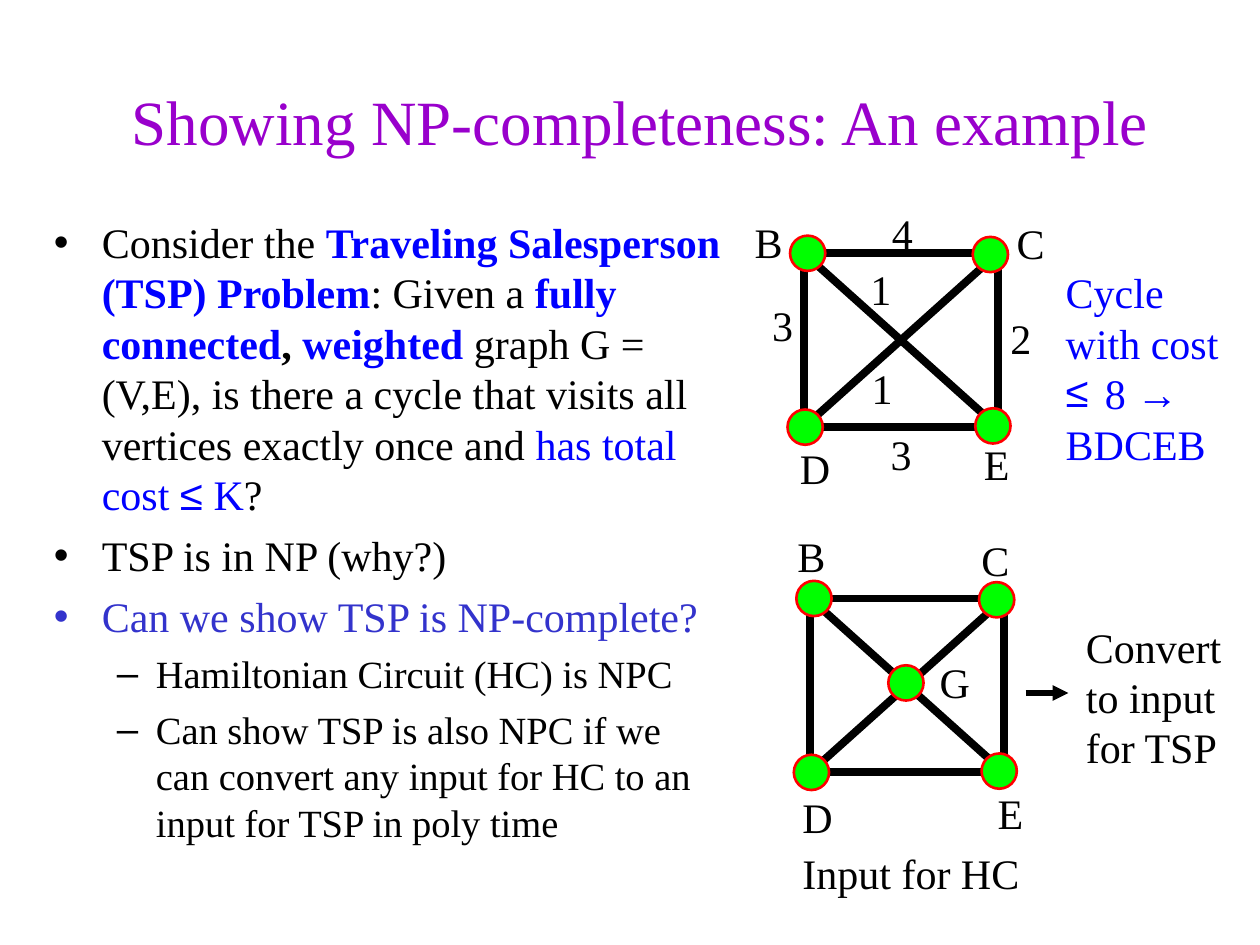
"""Build a slide on showing that the Traveling Salesperson Problem is NP-complete."""
from lxml import etree
from pptx import Presentation
from pptx.dml.color import RGBColor
from pptx.enum import shapes, text
from pptx.oxml import ns
from pptx.util import Inches, Pt

BLACK = RGBColor(0x00, 0x00, 0x00)
BLUE = RGBColor(0x00, 0x00, 0xFF)
INDIGO = RGBColor(0x33, 0x33, 0xCC)
PURPLE = RGBColor(0x99, 0x00, 0xCC)
GREEN = RGBColor(0x00, 0xFF, 0x00)
RED = RGBColor(0xFF, 0x00, 0x00)
SERIF, SANS = "Times New Roman", "Arial"

prs = Presentation()
prs.slide_width, prs.slide_height = Inches(10), Inches(7.5)
s = prs.slides.add_slide(prs.slide_layouts[6])


def add_text(box, paras, wrap=False, **frame):
    sp = s.shapes.add_textbox(*map(Inches, box))
    tf = sp.text_frame
    for key, value in {"word_wrap": wrap, **frame}.items():
        setattr(tf, key, value)
    for i, (fmt, runs) in enumerate(paras):
        p = tf.paragraphs[0] if i == 0 else tf.add_paragraph()
        p.alignment = fmt.get("align", text.PP_ALIGN.LEFT)
        p.level = fmt.get("level", 0)
        p.space_before = Pt(fmt.get("before", 0))
        for words, color, *extra in runs:
            r = p.add_run()
            r.text = words
            r.font.color.rgb = color
            font = {"name": SERIF, "size": Pt(fmt.get("size", 24)), "bold": False}
            for key, value in {**font, **(extra[0] if extra else {})}.items():
                setattr(r.font, key, value)
        if "bullet" in fmt:
            pPr = p._p.get_or_add_pPr()
            pPr.set("marL", str(Inches(fmt["margin"])))
            pPr.set("indent", str(Inches(-fmt["hang"])))
            clr = etree.SubElement(pPr, ns.qn("a:buClr"))
            etree.SubElement(clr, ns.qn("a:srgbClr"), val=str(runs[0][1]))
            etree.SubElement(pPr, ns.qn("a:buFont"), typeface=SANS)
            etree.SubElement(pPr, ns.qn("a:buChar"), char=fmt["bullet"])


def add_line(x1, y1, x2, y2, width):
    c = s.shapes.add_connector(shapes.MSO_CONNECTOR.STRAIGHT, *map(Inches, (x1, y1, x2, y2)))
    c.line.color.rgb = BLACK
    c.line.width = Pt(width)
    etree.SubElement(c._element.spPr, ns.qn("a:effectLst"))
    return c


add_text((0.83, 0.33, 8.5, 1.25),
         [({"size": 36, "align": text.PP_ALIGN.CENTER},
           [("Showing NP-completeness: An example", PURPLE)])],
         wrap=True, vertical_anchor=text.MSO_ANCHOR.MIDDLE)

BOLD = {"bold": True}
MAIN = {"bullet": "•", "margin": 0.38, "hang": 0.38, "before": 6}
SUB = {"bullet": "–", "margin": 0.81, "hang": 0.31, "before": 5.5, "size": 22, "level": 1}
add_text((0.33, 1.67, 5.5, 5.07), [
    (MAIN, [("Consider the ", BLACK),
            ("Traveling Salesperson (TSP) Problem", BLUE, BOLD),
            (": Given a ", BLACK),
            ("fully connected", BLUE, BOLD),
            (", ", BLACK, BOLD),
            ("weighted ", BLUE, BOLD),
            ("graph G = (V,E), is there a cycle that visits all vertices exactly once and ", BLACK),
            ("has total cost ", BLUE),
            ("≤", BLUE, {"name": SANS}),
            (" K", BLUE),
            ("?", BLACK)]),
    (MAIN, [("TSP is in NP (why?)", BLACK)]),
    (MAIN, [("Can we show TSP is NP-complete?", INDIGO)]),
    (SUB, [("Hamiltonian Circuit (HC) is NPC", BLACK)]),
    (SUB, [("Can show TSP is also NPC if we can convert any input for HC "
            "to an input for TSP in poly time", BLACK)]),
], wrap=True)

W, H, NODE = 1.54, 1.38, 0.28
CORNERS = [(-0.11, -0.14), (1.34, -0.13), (-0.13, 1.24), (1.36, 1.23)]
CENTER = (0.62, 0.53)
for x, y, nodes in [(6.43, 4.75, CORNERS + [CENTER]), (6.38, 2.01, CORNERS)]:
    sp = s.shapes.add_shape(shapes.MSO_SHAPE.RECTANGLE, *map(Inches, (x, y, W, H)))
    sp.shadow.inherit = False
    sp.fill.background()
    sp.line.color.rgb = BLACK
    sp.line.width = Pt(4.5)
    add_line(x, y, x + W, y + H, 4.5)
    add_line(x, y + H, x + W, y, 4.5)
    for dx, dy in nodes:
        sp = s.shapes.add_shape(shapes.MSO_SHAPE.OVAL, *map(Inches, (x + dx, y + dy, NODE, NODE)))
        sp.shadow.inherit = False
        sp.fill.solid()
        sp.fill.fore_color.rgb = GREEN
        sp.line.color.rgb = RED
        sp.line.width = Pt(1.5)

GROW = {"auto_size": text.MSO_AUTO_SIZE.SHAPE_TO_FIT_TEXT}
labels = [
    ("B", 6.23, 4.16, 0.42), ("C", 7.69, 4.19, 0.42), ("D", 6.27, 6.23, 0.42),
    ("E", 7.82, 6.2, 0.42), ("G", 7.36, 5.16, 0.42), ("Input for HC", 6.27, 6.68, 1.92),
    ("B", 5.89, 1.67, 0.42), ("C", 7.97, 1.68, 0.42), ("D", 6.25, 3.46, 0.42),
    ("E", 7.71, 3.43, 0.42), ("3", 6.03, 2.33, 0.36), ("3", 6.97, 3.35, 0.36),
    ("1", 6.82, 2.83, 0.36), ("1", 6.81, 2.04, 0.36), ("2", 7.92, 2.43, 0.36),
    ("4", 6.98, 1.6, 0.36),
]
for label, x, y, w in labels:
    add_text((x, y, w, 0.5), [({}, [(label, BLACK)])], **GROW)

arrow = add_line(8.14, 5.5, 8.48, 5.5, 3)
etree.SubElement(arrow.line._get_or_add_ln(), ns.qn("a:tailEnd"), type="triangle")

add_text((8.52, 4.88, 1.35, 1.3),
         [({}, [(line, BLACK)]) for line in ("Convert", "to input", "for TSP")],
         wrap=True, **GROW)
add_text((8.36, 2.07, 1.45, 2.1), [
    ({}, [("Cycle", BLUE)]),
    ({}, [("with cost", BLUE)]),
    ({"bullet": "≤", "margin": 0.31, "hang": 0.31},
     [("8 ", BLUE), ("→", BLUE, {"name": SANS})]),
    ({}, [("BDCEB", BLUE)]),
], wrap=True, **GROW)

prs.save("out.pptx")
